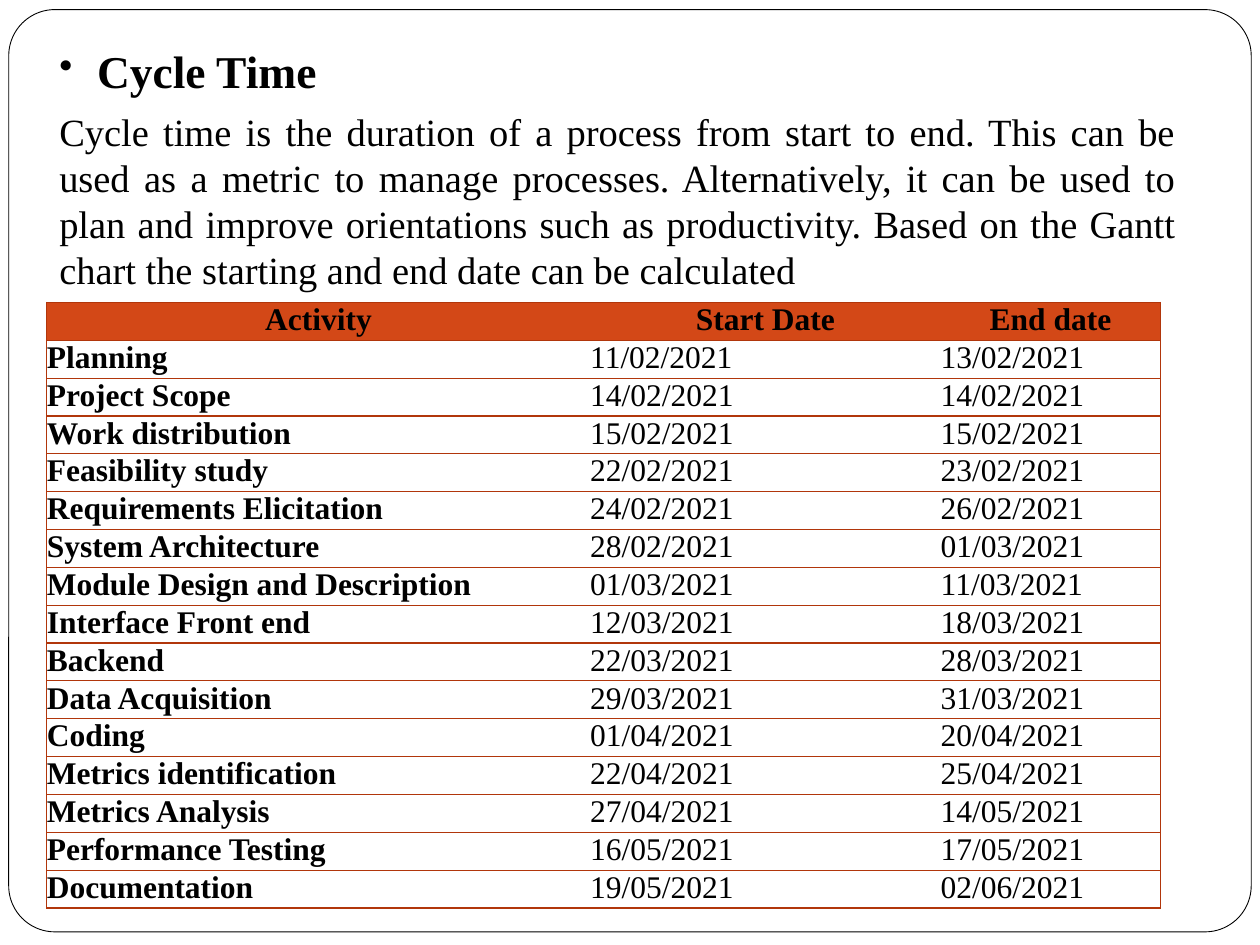
from dataclasses import dataclass

from lxml import etree
from pptx import Presentation
from pptx.dml.color import RGBColor
from pptx.enum.shapes import MSO_SHAPE
from pptx.enum.text import PP_ALIGN
from pptx.oxml.ns import qn
from pptx.util import Pt

ROUNDED = MSO_SHAPE.ROUNDED_RECTANGLE
CENTER, LEFT, JUSTIFY = PP_ALIGN.CENTER, PP_ALIGN.LEFT, PP_ALIGN.JUSTIFY
FONT = "Times New Roman"
COLORS = {"text": "000000", "paper": "FFFFFF", "header": "D34817", "rule": "B1360B"}
COLUMN_WIDTHS = (310.5, 200.3, 125.5)
ROW_HEIGHT = 21.65
HEADINGS = ("Activity", "Start Date", "End date")
DEFINITION = (
    "Cycle time is the duration of a process from start to end. This can be used as a "
    "metric to manage processes. Alternatively, it can be used to plan and improve "
    "orientations such as productivity. Based on the Gantt chart the starting and end "
    "date can be calculated"
)


@dataclass(frozen=True)
class Activity:
    name: str
    start: str
    end: str


ACTIVITIES = (
    Activity("Planning", "11/02/2021", "13/02/2021"),
    Activity("Project Scope", "14/02/2021", "14/02/2021"),
    Activity("Work distribution", "15/02/2021", "15/02/2021"),
    Activity("Feasibility study", "22/02/2021", "23/02/2021"),
    Activity("Requirements Elicitation", "24/02/2021", "26/02/2021"),
    Activity("System Architecture", "28/02/2021", "01/03/2021"),
    Activity("Module Design and Description", "01/03/2021", "11/03/2021"),
    Activity("Interface Front end", "12/03/2021", "18/03/2021"),
    Activity("Backend", "22/03/2021", "28/03/2021"),
    Activity("Data Acquisition", "29/03/2021", "31/03/2021"),
    Activity("Coding", "01/04/2021", "20/04/2021"),
    Activity("Metrics identification", "22/04/2021", "25/04/2021"),
    Activity("Metrics Analysis", "27/04/2021", "14/05/2021"),
    Activity("Performance Testing", "16/05/2021", "17/05/2021"),
    Activity("Documentation", "19/05/2021", "02/06/2021"),
)


def rgb(name: str) -> RGBColor:
    return RGBColor.from_string(COLORS[name])


def add_run(paragraph, text: str, size: float, bold: bool) -> None:
    run = paragraph.add_run()
    run.text = text
    run.font.name = FONT
    run.font.size = Pt(size)
    run.font.bold = bold
    run.font.color.rgb = rgb("text")


def add_bullet(paragraph, indent: float) -> None:
    properties = paragraph._p.get_or_add_pPr()
    properties.set("marL", str(Pt(indent)))
    properties.set("indent", str(Pt(-indent)))
    color = etree.SubElement(properties, qn("a:buClr"))
    etree.SubElement(color, qn("a:srgbClr"), val=COLORS["text"])
    etree.SubElement(properties, qn("a:buSzPct"), val="85000")
    etree.SubElement(properties, qn("a:buChar"), char="•")


def set_borders(cell, ruled_sides: str) -> None:
    properties = cell._tc.get_or_add_tcPr()
    for side in "LRTB":
        border = etree.SubElement(properties, qn(f"a:ln{side}"), w=str(Pt(0.75)))
        if side in ruled_sides:
            fill = etree.SubElement(border, qn("a:solidFill"))
            etree.SubElement(fill, qn("a:srgbClr"), val=COLORS["rule"])
        else:
            etree.SubElement(border, qn("a:noFill"))


def fill_cell(cell, text: str, row: int, column: int) -> None:
    is_header = row == 0
    set_borders(cell, ("L", "", "R")[column] + "TB")
    cell.margin_left = cell.margin_right = cell.margin_top = cell.margin_bottom = Pt(0)
    if is_header:
        cell.fill.solid()
        cell.fill.fore_color.rgb = rgb("header")
    else:
        cell.fill.background()
    paragraph = cell.text_frame.paragraphs[0]
    paragraph.alignment = CENTER if is_header else LEFT
    add_run(paragraph, text, 18, is_header or column == 0)


def add_frame(slide) -> None:
    frame = slide.shapes.add_shape(ROUNDED, Pt(5), Pt(5.5), Pt(710), Pt(527))
    frame.adjustments[0] = 0.05
    frame.shadow.inherit = False
    frame.fill.solid()
    frame.fill.fore_color.rgb = rgb("paper")
    frame.line.color.rgb = rgb("text")
    frame.line.width = Pt(0.5)


def add_definition(slide) -> None:
    body = slide.shapes.add_textbox(Pt(26.8), Pt(21), Pt(652), Pt(152.5)).text_frame
    body.word_wrap = True
    heading = body.paragraphs[0]
    heading.alignment = JUSTIFY
    add_bullet(heading, 21.6)
    add_run(heading, "Cycle Time", 26, True)
    definition = body.add_paragraph()
    definition.alignment = JUSTIFY
    definition.space_before = Pt(5.8)
    add_run(definition, DEFINITION, 22, False)


def add_schedule(slide) -> None:
    rows = [HEADINGS] + [(item.name, item.start, item.end) for item in ACTIVITIES]
    schedule = slide.shapes.add_table(
        len(rows), len(HEADINGS), Pt(26.8), Pt(172.8),
        Pt(sum(COLUMN_WIDTHS)), Pt(ROW_HEIGHT * len(rows)),
    ).table
    schedule.horz_banding = False
    for column, width in zip(schedule.columns, COLUMN_WIDTHS):
        column.width = Pt(width)
    for row, texts in enumerate(rows):
        schedule.rows[row].height = Pt(ROW_HEIGHT)
        for column, text in enumerate(texts):
            fill_cell(schedule.cell(row, column), text, row, column)


def main() -> None:
    """Build the cycle time slide with its schedule of activities."""
    deck = Presentation()
    deck.slide_width, deck.slide_height = Pt(720), Pt(540)
    slide = deck.slides.add_slide(deck.slide_layouts[6])
    add_frame(slide)
    add_definition(slide)
    add_schedule(slide)
    deck.save("out.pptx")


if __name__ == "__main__":
    main()
